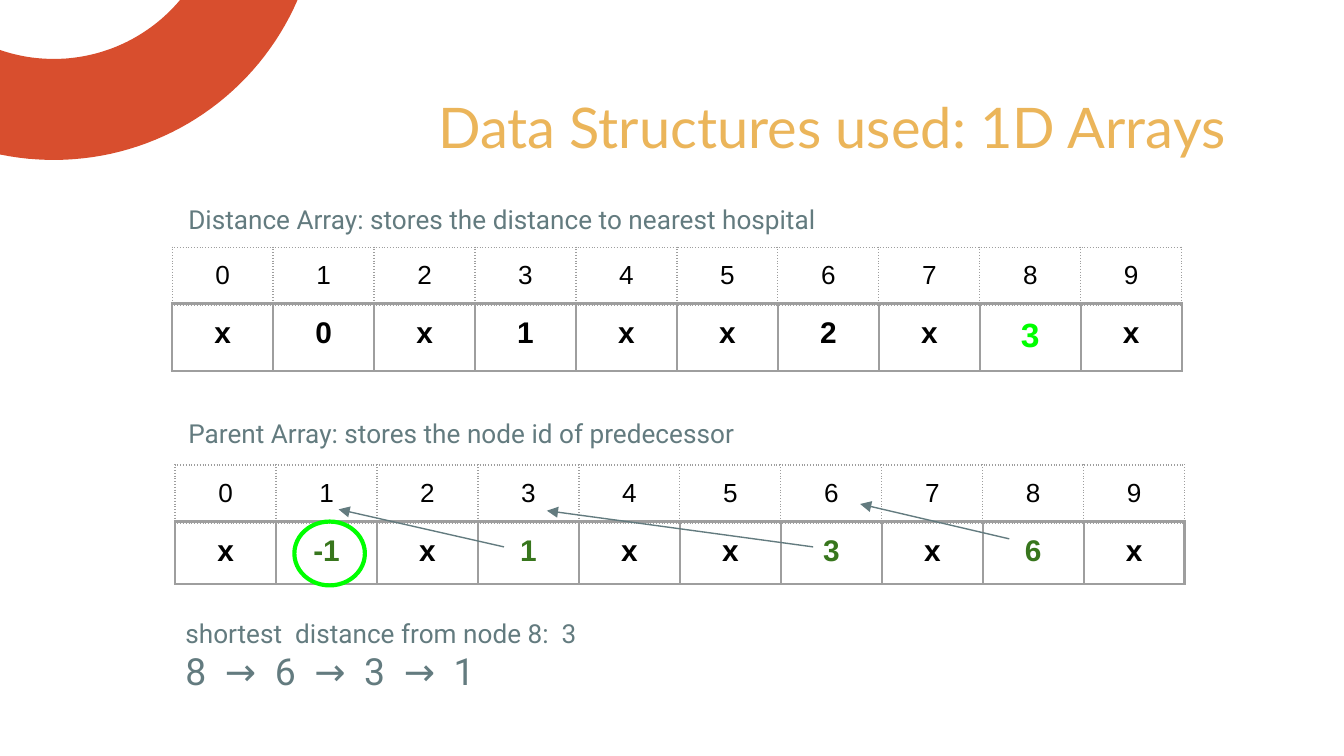
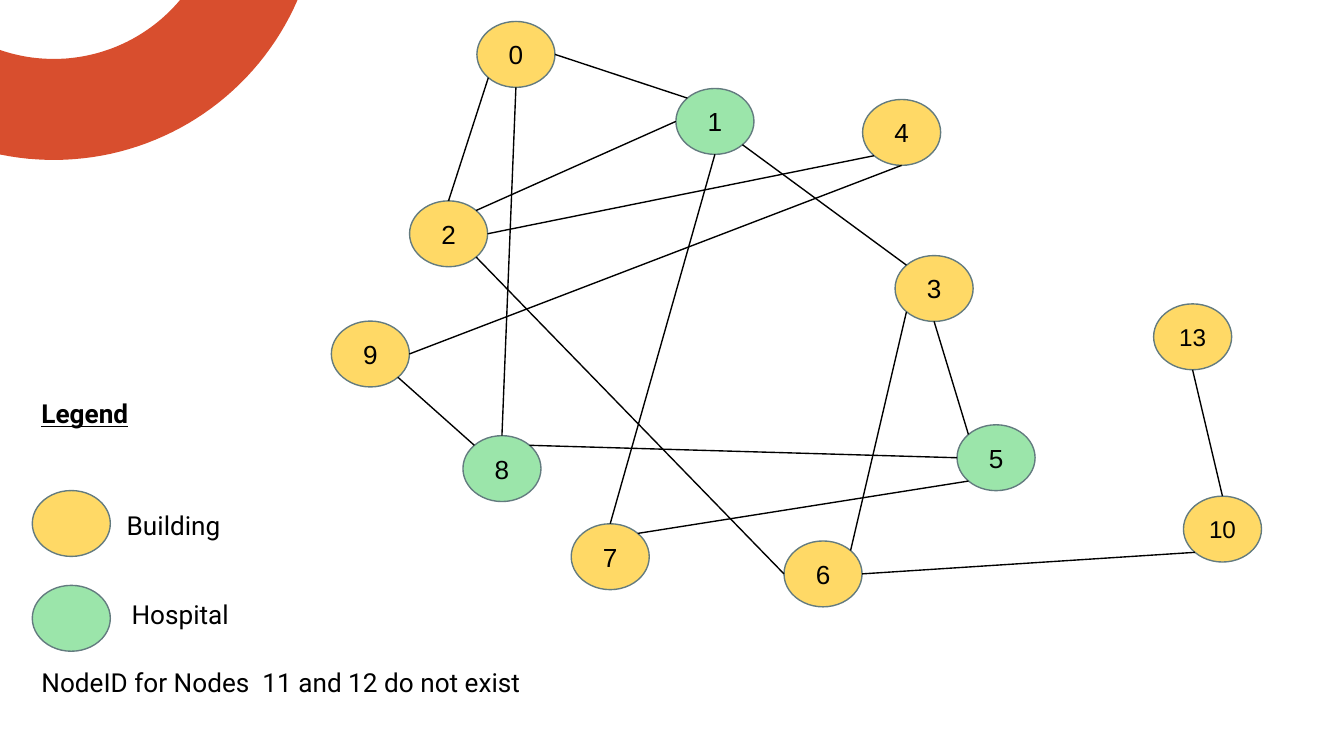
"""Build two slides on the arrays and the graph of a nearest-hospital search."""
import math

import lxml.etree
import pptx
import pptx.dml.color
import pptx.enum.shapes
import pptx.enum.text
import pptx.oxml.ns
import pptx.util

Pt = pptx.util.Pt
qn = pptx.oxml.ns.qn
KINDS = pptx.enum.shapes.MSO_SHAPE
ALIGN = pptx.enum.text.PP_ALIGN
ANCHOR = pptx.enum.text.MSO_ANCHOR

HUES = {
    "red": "D84E2E",
    "gold": "EBB55A",
    "slate": "637B7F",
    "black": "000000",
    "gray": "9E9E9E",
    "green": "38761D",
    "lime": "00FF00",
    "amber": "FFD966",
    "mint": "9BE5AA",
}
INSET = Pt(7.2)
NODE = (41.8, 35.3)
COL, ROW = 54.1, 30.24

SITES = {
    "n": (0, -1), "s": (0, 1), "w": (-1, 0), "e": (1, 0),
    "nw": (-math.sqrt(0.5), -math.sqrt(0.5)),
    "ne": (math.sqrt(0.5), -math.sqrt(0.5)),
    "sw": (-math.sqrt(0.5), math.sqrt(0.5)),
    "se": (math.sqrt(0.5), math.sqrt(0.5)),
}
NODES = {
    0: (255.5, 11.5), 1: (362.1, 47.4), 2: (219.4, 107.6), 3: (479.5, 136.9),
    4: (462.1, 53.3), 5: (512.7, 227.6), 10: (634, 265.8), 9: (177.5, 172),
    8: (248, 233.4), 7: (306, 280.6), 6: (420, 289.8), 13: (618, 162.8),
}
WARDS = (1, 5, 8)
EDGES = [
    (0, "e", 1, "nw"), (0, "sw", 2, "n"), (0, "s", 8, "n"), (1, "w", 2, "ne"),
    (2, "e", 4, "sw"), (4, "s", 9, "e"), (9, "se", 8, "nw"), (8, "ne", 5, "w"),
    (1, "s", 7, "n"), (2, "se", 6, "w"), (3, "s", 5, "nw"), (3, "sw", 6, "ne"),
    (1, "se", 3, "nw"), (5, "sw", 7, "ne"), (6, "e", 10, "sw"), (13, "s", 10, "n"),
]


def tint(name):
    return pptx.dml.color.RGBColor.from_string(HUES[name])


def pad(part):
    part.margin_left = part.margin_right = INSET
    part.margin_top = part.margin_bottom = INSET


def write(para, text, size, hue, font="Roboto", bold=False, under=False):
    run = para.add_run()
    run.text = text
    run.font.size = Pt(size)
    run.font.name = font
    run.font.bold = bold
    run.font.underline = under
    run.font.color.rgb = tint(hue)


def label(slide, box, text, hue="black", size=14, font="Roboto", align=ALIGN.LEFT, **style):
    frame = slide.shapes.add_textbox(*map(Pt, box)).text_frame
    frame.word_wrap = True
    pad(frame)
    para = frame.paragraphs[0]
    para.alignment = align
    write(para, text, size, hue, font, **style)
    return frame


def oval(slide, box, fill, edge="slate", width=0.75):
    shape = slide.shapes.add_shape(KINDS.OVAL, *map(Pt, box))
    shape.shadow.inherit = False
    if fill:
        shape.fill.solid()
        shape.fill.fore_color.rgb = tint(fill)
    else:
        shape.fill.background()
    shape.line.color.rgb = tint(edge)
    shape.line.width = Pt(width)
    return shape


def link(slide, start, end, hue="black", arrow=False):
    line = slide.shapes.add_connector(
        pptx.enum.shapes.MSO_CONNECTOR.STRAIGHT, *map(Pt, (*start, *end)))
    line.line.color.rgb = tint(hue)
    line.line.width = Pt(0.75)
    props = line._element.spPr
    if arrow:
        lxml.etree.SubElement(props.find(qn("a:ln")), qn("a:tailEnd"), type="triangle")
    lxml.etree.SubElement(props, qn("a:effectLst"))


def ring(slide, mid, outer, inner, first=23.5, sweep=90, steps=45):
    def spot(reach, step):
        turn = math.radians(first + sweep * step / steps)
        return Pt(mid[0] + reach * math.cos(turn)), Pt(mid[1] + reach * math.sin(turn))

    rim = [spot(outer, step) for step in range(steps + 1)]
    rim += [spot(inner, step) for step in range(steps, -1, -1)]
    form = slide.shapes.build_freeform(*rim[0])
    form.add_line_segments(rim[1:], close=True)
    shape = form.convert_to_shape()
    shape.shadow.inherit = False
    shape.fill.solid()
    shape.fill.fore_color.rgb = tint("red")
    shape.line.fill.background()


def frame_cell(cell, width, dash):
    props = cell._tc.get_or_add_tcPr()
    for spot, side in enumerate(("a:lnL", "a:lnR", "a:lnT", "a:lnB")):
        edge = lxml.etree.Element(qn(side), w=str(Pt(width)))
        fill = lxml.etree.SubElement(edge, qn("a:solidFill"))
        lxml.etree.SubElement(fill, qn("a:srgbClr"), val=HUES["gray"])
        lxml.etree.SubElement(edge, qn("a:prstDash"), val=dash)
        props.insert(spot, edge)


def strip(slide, left, top, items, size, bold, width, dash, marks):
    count = len(items)
    table = slide.shapes.add_table(
        1, count, Pt(left), Pt(top), Pt(COL * count), Pt(ROW)).table
    table.first_row = table.horz_banding = False
    table.rows[0].height = Pt(ROW)
    for spot, item in enumerate(items):
        table.columns[spot].width = Pt(COL)
        cell = table.cell(0, spot)
        pad(cell)
        cell.fill.background()
        frame_cell(cell, width, dash)
        para = cell.text_frame.paragraphs[0]
        para.alignment = ALIGN.CENTER
        hue, high = marks.get(spot, ("black", size))
        write(para, item, high, hue, "Arial", bold)


def array(slide, left, top, items, marks):
    strip(slide, left, top + ROW, items, 16, True, 1.5, "solid", marks)
    heads = [str(spot) for spot in range(len(items))]
    strip(slide, left, top, heads, 14, False, 0.75, "sysDot", {})


def fresh(deck):
    slide = deck.slides.add_slide(deck.slide_layouts[6])
    ring(slide, (28.8, -56.7), 142.4, 88.3)
    return slide


def arrays(deck):
    slide = fresh(deck)
    label(slide, (190, 42.5, 474, 45.4), "Data Structures used: 1D Arrays",
          "gold", 30, "Lato", ALIGN.RIGHT)
    notes = ((101.5, "Distance Array: stores the distance to nearest hospital"),
             (216.5, "Parent Array: stores the node id of predecessor"))
    for top, text in notes:
        label(slide, (93.8, top, 532, 28.8), text, "slate")
    array(slide, 93.8, 249.1, ["x", "-1", "x", "1", "x", "x", "3", "x", "6", "x"],
          {spot: ("green", 16) for spot in (1, 3, 6, 8)})
    array(slide, 92.2, 132.4, ["x", "0", "x", "1", "x", "x", "2", "x", "3", "x"],
          {8: ("lime", 18)})
    frame = label(slide, (92.2, 323.3, 486, 56.9),
                  "shortest  distance from node 8:  3", "slate")
    write(frame.add_paragraph(), "8  →  6  →  3  →  1", 20, "slate")
    hops = (((540.7, 288.7), (460.8, 270)),
            ((270, 293), (181.4, 272.9)),
            ((435.6, 293), (293, 273.6)))
    for start, end in hops:
        link(slide, start, end, "slate", True)
    oval(slide, (157.7, 279.4, 37.8, 34.2), None, "lime", 2.25)


def touch(node, site):
    return [at + size / 2 * (1 + way)
            for at, size, way in zip(NODES[node], NODE, SITES[site])]


def graph(slide):
    for node, spot in NODES.items():
        frame = oval(slide, (*spot, *NODE), "mint" if node in WARDS else "amber").text_frame
        frame.word_wrap = True
        frame.vertical_anchor = ANCHOR.MIDDLE
        pad(frame)
        para = frame.paragraphs[0]
        para.alignment = ALIGN.CENTER
        write(para, str(node), 13 if node > 9 else 14, "black", "Arial")
    for start, out, end, into in EDGES:
        link(slide, touch(start, out), touch(end, into))


def legend(slide, left, top):
    for drop, hue in ((56.9, "amber"), (107.7, "mint")):
        oval(slide, (left + 2.2, top + drop, *NODE), hue)
    label(slide, (left + 45.7, top + 59.8, 88, 28.1), "Building")
    label(slide, (left + 48.3, top + 107.3, 88, 28.1), "Hospital")
    label(slide, (left, top + 144, 291, 28.1), "NodeID for Nodes  11 and 12 do not exist")
    label(slide, (left, top, 291, 28.1), "Legend", bold=True, under=True)


def network(deck):
    slide = fresh(deck)
    graph(slide)
    legend(slide, 15.1, 205.9)


def main():
    deck = pptx.Presentation()
    deck.slide_width, deck.slide_height = Pt(720), Pt(405)
    arrays(deck)
    network(deck)
    deck.save("out.pptx")


if __name__ == "__main__":
    main()
